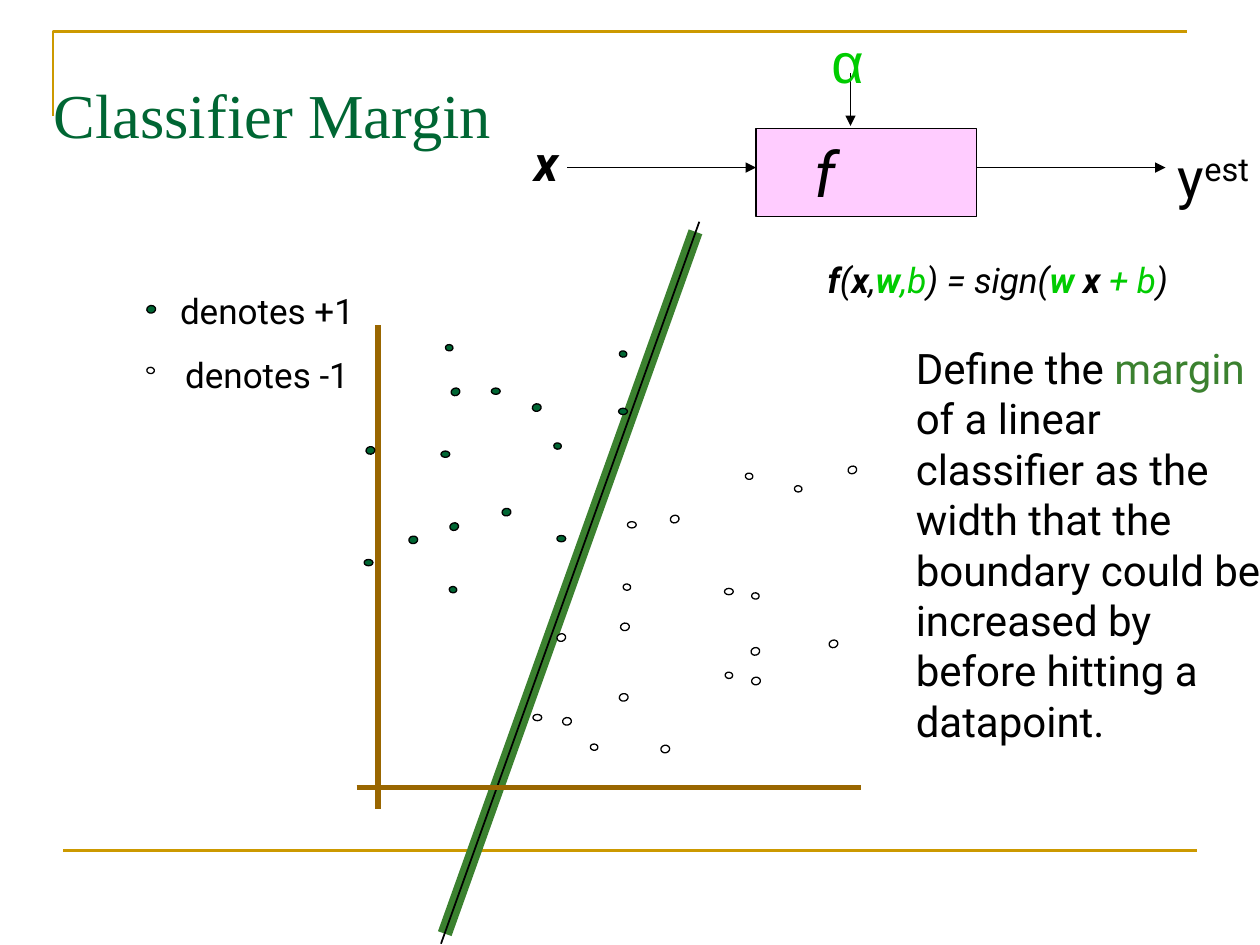
"""Builds the classifier margin slide."""
from lxml.etree import SubElement
from pptx import Presentation
from pptx.dml.color import RGBColor
from pptx.enum.shapes import MSO_CONNECTOR as Connector, MSO_SHAPE as Shape
from pptx.enum.text import MSO_ANCHOR as Anchor, PP_ALIGN as Align
from pptx.oxml.ns import qn
from pptx.util import Inches, Pt

BLACK, WHITE, FOREST, LIME = "000000", "FFFFFF", "006633", "00CC00"
MOSS, GOLD, BROWN, PINK = "3B812F", "CC9900", "996600", "FFCCFF"


def color(value):
    return RGBColor.from_string(value)


class Board:
    """Holds the style and the current slide."""

    font = "Roboto"
    thin = 1
    dot_line = 0.75
    dot_sizes = {0: (0.07, 0.05), 341.4: (0.07, 0.06), 98.2: (0.05, 0.06), 79.6: (0.06, 0.07)}

    def __init__(self, slide):
        self.slide = slide

    def outline(self, item, ink, width):
        item.line.color.rgb = color(ink)
        item.line.width = Pt(width)

    def line(self, start, end, ink=BLACK, width=thin, arrow=False):
        points = [Inches(value) for value in (*start, *end)]
        line = self.slide.shapes.add_connector(Connector.STRAIGHT, *points)
        self.outline(line, ink, width)
        properties = line._element.spPr
        if arrow:
            SubElement(properties.find(qn("a:ln")), qn("a:tailEnd"), type="triangle")
        SubElement(properties, qn("a:effectLst"))

    def corner_line(self, points, ink, width):
        corners = [(Inches(x), Inches(y)) for x, y in points]
        builder = self.slide.shapes.build_freeform(*corners[0])
        builder.add_line_segments(corners[1:], close=False)
        shape = builder.convert_to_shape()
        shape.shadow.inherit = False
        shape.fill.background()
        self.outline(shape, ink, width)

    def shape(self, kind, area, fill, width=thin):
        shape = self.slide.shapes.add_shape(kind, *map(Inches, area))
        shape.shadow.inherit = False
        shape.fill.solid()
        shape.fill.fore_color.rgb = color(fill)
        self.outline(shape, BLACK, width)
        return shape

    def dot(self, left, top, angle, fill):
        area = (left, top, *self.dot_sizes[angle])
        self.shape(Shape.OVAL, area, fill, self.dot_line).rotation = angle

    def fill_text(self, box, paragraphs, size, align=Align.CENTER, font=font, anchor=Anchor.TOP, before=12.5):
        frame = box.text_frame
        frame.word_wrap = True
        frame.vertical_anchor = anchor
        frame.text = "\n".join([""] * len(paragraphs))
        for para, spans in zip(frame.paragraphs, paragraphs):
            para.alignment = align
            para.space_before = Pt(before)
            for text, ink, style in spans:
                span = para.add_run()
                span.text = text
                span.font.name = font
                span.font.size = Pt(size)
                span.font.color.rgb = color(ink)
                span.font.bold = "b" in style
                span.font.italic = "i" in style
                if "^" in style:
                    span.font._element.set("baseline", "30000")

    def text(self, area, paragraphs, size, **options):
        box = self.slide.shapes.add_textbox(*map(Inches, area))
        self.fill_text(box, paragraphs, size, **options)


deck = Presentation()
deck.slide_width, deck.slide_height = Inches(10), Inches(7.5)
board = Board(deck.slides.add_slide(deck.slide_layouts[6]))

board.corner_line([(0.42, 0.92), (0.42, 0.25), (9.42, 0.25)], GOLD, 1.5)
board.line((0.5, 6.75), (9.5, 6.75), GOLD, 1.5)
board.line((3.53, 7.41), (5.52, 1.84), MOSS, 8.25)
board.line((3.5, 7.49), (5.55, 1.76))
board.text((0.33, 0.5, 5.08, 0.75), [[("Classifier Margin", FOREST, "")]], 35.7,
           align=Align.LEFT, font="Times New Roman", anchor=Anchor.BOTTOM, before=0)

function_box = board.shape(Shape.RECTANGLE, (6, 1.02, 1.75, 0.7), PINK)
function_box.text_frame.margin_right = Inches(0.75)
board.fill_text(function_box, [[("f", BLACK, "i")]], 36, anchor=Anchor.MIDDLE)
for start, end in [((4.5, 1.33), (6, 1.33)), ((6.75, 0.58), (6.75, 1)), ((7.75, 1.33), (9.25, 1.33))]:
    board.line(start, end, arrow=True)
board.text((4, 1, 0.67, 0.57), [[("x", BLACK, "bi")]], 28)
board.text((6.5, 0.17, 0.42, 0.64), [[("α", LIME, "")]], 32, font="Arial")
board.text((9.25, 1.08, 0.92, 0.64), [[("y", BLACK, ""), ("est", BLACK, "^")]], 32, align=Align.LEFT)

board.text((1.08, 2.25, 2.08, 0.94), [[("denotes +1", BLACK, "")], [("denotes -1", BLACK, "")]], 20)
board.line((3, 2.58), (3, 6.42), BROWN, 3)
board.line((2.83, 6.25), (6.83, 6.25), BROWN, 3)

dots = {
    FOREST: {
        0: [(2.89, 4.44), (4.91, 3.24), (3.9, 3.08), (4.42, 4.25), (3.5, 3.58)],
        341.4: [(3.58, 3.08), (3.57, 4.15)],
        98.2: [(4.4, 3.51), (3.57, 4.65), (4.92, 2.78), (3.54, 2.73)],
        79.6: [(1.17, 2.42), (3.99, 4.03), (3.25, 4.25), (4.23, 3.2), (2.91, 3.54)],
    },
    WHITE: {
        0: [(4.23, 5.67), (4.98, 4.14), (5.75, 4.67)],
        341.4: [(4.42, 5.03), (6.73, 3.7), (5.96, 5.14), (5.32, 4.09), (6.58, 5.08)],
        98.2: [(1.17, 2.91), (4.69, 5.9), (5.97, 4.7), (4.95, 4.63), (6.31, 3.85),
               (5.92, 3.75), (5.76, 5.33)],
        79.6: [(5.25, 5.91), (4.92, 5.5), (4.93, 4.94), (4.47, 5.69), (5.97, 5.37)],
    },
}
for fill, groups in dots.items():
    for angle, places in groups.items():
        for left, top in places:
            board.dot(left, top, angle, fill)

formula = [("f", BLACK, "bi"), ("(", BLACK, "i"), ("x", BLACK, "bi"), (",", BLACK, "i"),
           ("w", LIME, "bi"), (",b", LIME, "i"), (") = sign(", BLACK, "i"), ("w", LIME, "bi"),
           (" x", BLACK, "bi"), (" + b", LIME, "i"), (")", BLACK, "i")]
board.text((6.17, 2, 3.5, 0.44), [formula], 20)
definition = [("Define the ", BLACK, ""), ("margin", MOSS, ""),
              (" of a linear classifier as the width that the boundary could be increased by "
               "before hitting a datapoint.", BLACK, "")]
board.text((7.17, 2.67, 3, 3.3), [definition], 24, align=Align.LEFT)

deck.save("out.pptx")
